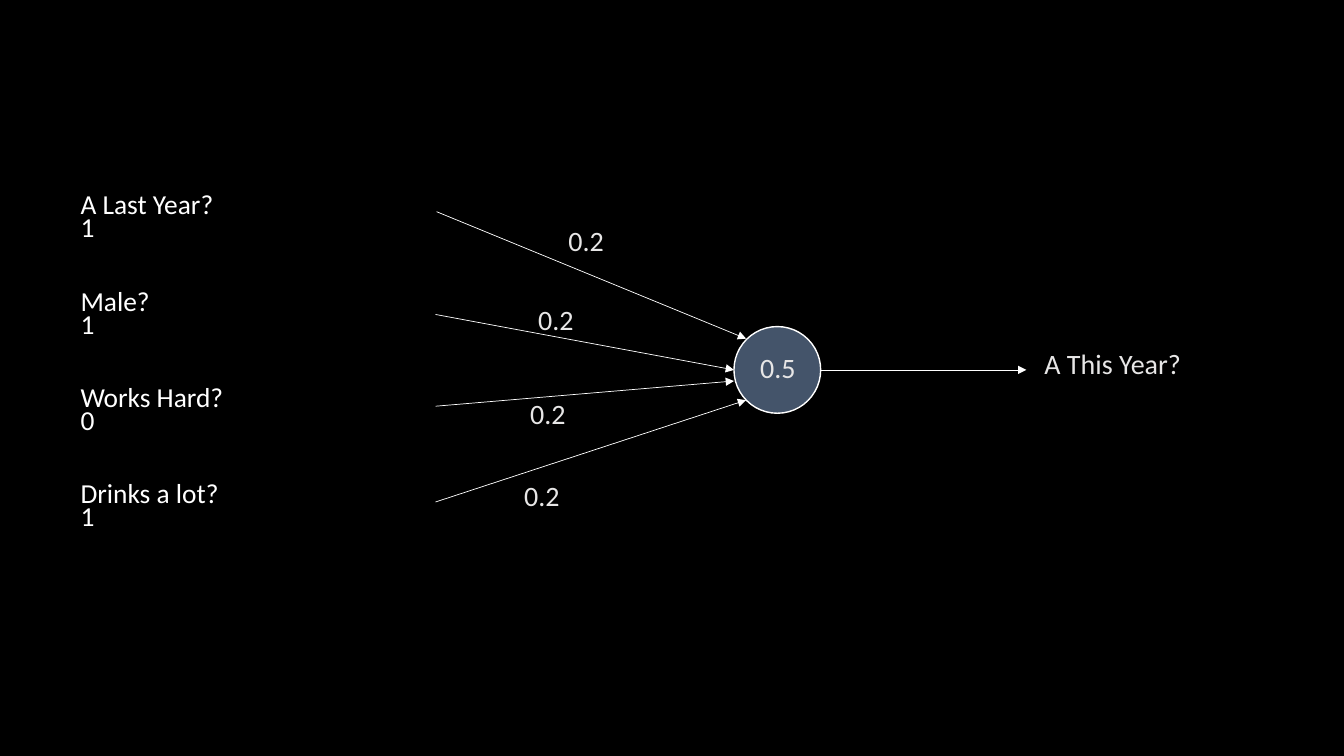
import pptx
import pptx.util
import pptx.dml.color
import pptx.enum.shapes
import pptx.oxml.ns
from lxml import etree
from pptx.util import Inches

THEME = {
    "background": "000000",
    "input": "FFFFFF",
    "label": "E7E6E6",
    "node": "44546A",
    "line": "FFFFFF",
    "font": "Calibri",
    "input_size": 19.6,
    "label_size": 20,
}


def color(name):
    return pptx.dml.color.RGBColor.from_string(THEME[name])


def add_text(lines, left, top, width, height, role="label", spacing=1.0, group_gap=0, group=1):
    box = slide.shapes.add_textbox(Inches(left), Inches(top), Inches(width), Inches(height))
    frame = box.text_frame
    frame.word_wrap = True
    for index, line in enumerate(lines):
        paragraph = frame.paragraphs[0] if index == 0 else frame.add_paragraph()
        paragraph.text = line
        paragraph._p.get_or_add_pPr().set("marL", str(Inches(0.04)))
        paragraph.line_spacing = spacing
        if index and index % group == 0:
            paragraph.space_before = pptx.util.Pt(group_gap)
        paragraph.font.name = THEME["font"]
        paragraph.font.size = pptx.util.Pt(THEME[role + "_size"])
        paragraph.font.color.rgb = color(role)


presentation = pptx.Presentation()
presentation.slide_width = Inches(13.33)
presentation.slide_height = Inches(7.5)
slide = presentation.slides.add_slide(presentation.slide_layouts[6])
slide.background.fill.solid()
slide.background.fill.fore_color.rgb = color("background")

inputs = [("A Last Year?", "1"), ("Male?", "1"), ("Works Hard?", "0"), ("Drinks a lot?", "1")]
input_lines = [line for pair in inputs for line in pair]
add_text(input_lines, 0.66, 1.9, 3.45, 3.71, role="input", spacing=0.7, group_gap=35.8, group=2)
add_text(["A This Year?"], 10.22, 3.39, 2.62, 0.57)

neuron = slide.shapes.add_shape(
    pptx.enum.shapes.MSO_SHAPE.OVAL, Inches(7.28), Inches(3.24), Inches(0.86), Inches(0.86)
)
neuron.shadow.inherit = False
neuron.fill.solid()
neuron.fill.fore_color.rgb = color("node")
neuron.line.color.rgb = color("line")
neuron.line.width = pptx.util.Pt(1)

arrows = [
    (4.33, 2.1, 7.4, 3.36),
    (4.32, 4.98, 7.4, 3.97),
    (4.32, 3.12, 7.28, 3.67),
    (4.32, 4.03, 7.28, 3.78),
    (8.14, 3.67, 10.18, 3.67),
]
for ends in arrows:
    arrow = slide.shapes.add_connector(
        pptx.enum.shapes.MSO_CONNECTOR.STRAIGHT, *[Inches(value) for value in ends]
    )
    arrow.line.color.rgb = color("line")
    arrow.line.width = pptx.util.Pt(0.5)
    head = etree.SubElement(arrow.line._get_or_add_ln(), pptx.oxml.ns.qn("a:tailEnd"))
    head.set("type", "triangle")
    etree.SubElement(arrow._element.spPr, pptx.oxml.ns.qn("a:effectLst"))

for left, top in [(5.5, 2.17), (5.12, 3.88), (5.2, 2.95), (5.06, 4.7)]:
    add_text(["0.2"], left, top, 0.74, 0.47)
add_text(["0.5"], 7.4, 3.43, 0.75, 0.44)

presentation.save("out.pptx")
